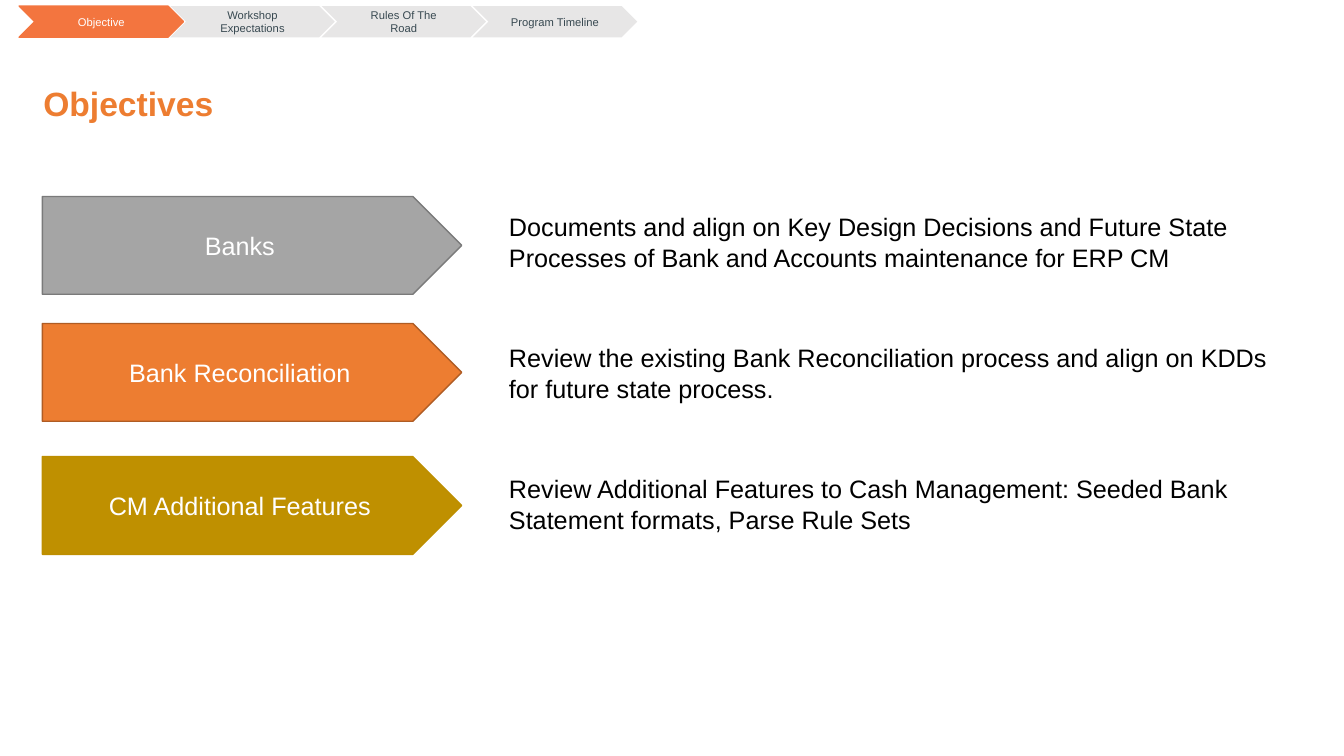
from pptx import Presentation
from pptx.dml.color import RGBColor
from pptx.enum import shapes, text
from pptx.util import Inches, Pt

ORANGE = RGBColor(0xED, 0x7D, 0x31)
RUST = RGBColor(0xAF, 0x5C, 0x24)
GRAY = RGBColor(0xA5, 0xA5, 0xA5)
STONE = RGBColor(0x7A, 0x7A, 0x7A)
GOLD = RGBColor(0xBF, 0x90, 0x00)
BRONZE = RGBColor(0xBD, 0x8E, 0x00)
CORAL = RGBColor(0xF3, 0x75, 0x3F)
PALE = RGBColor(0xE7, 0xE6, 0xE6)
SLATE = RGBColor(0x38, 0x49, 0x51)
WHITE = RGBColor(0xFF, 0xFF, 0xFF)
BLACK = RGBColor(0, 0, 0)

STEPS = ["Objective", "Workshop Expectations", "Rules Of The Road", "Program Timeline"]
GOALS = [
    ("Banks", 1.95, 2.05, GRAY, STONE,
     "Documents and align on Key Design Decisions and Future State "
     "Processes of Bank and Accounts maintenance for ERP CM"),
    ("Bank Reconciliation", 3.21, 3.35, ORANGE, RUST,
     "Review the existing Bank Reconciliation process and align on KDDs "
     "for future state process."),
    ("CM Additional Features", 4.53, 4.65, GOLD, BRONZE,
     "Review Additional Features to Cash Management: Seeded Bank "
     "Statement formats, Parse Rule Sets"),
]


def write(shape, words, size=18, color=BLACK, bold=False, align=text.PP_ALIGN.LEFT,
          anchor=text.MSO_ANCHOR.TOP, pads=(0.1, 0.05), space=None):
    frame = shape.text_frame
    frame.word_wrap = True
    frame.auto_size = text.MSO_AUTO_SIZE.NONE
    frame.vertical_anchor = anchor
    frame.margin_left = frame.margin_right = Inches(pads[0])
    frame.margin_top = frame.margin_bottom = Inches(pads[1])
    frame.text = words
    para = frame.paragraphs[0]
    para.alignment = align
    if space:
        para.line_spacing = space
    font = para.runs[0].font
    font.name, font.size, font.bold = "Arial", Pt(size), bold
    font.color.rgb = color


def place(box):
    return [Inches(side) for side in box]


def add_title(slide, words):
    title = slide.shapes.title
    title.left, title.top, title.width, title.height = place((0.43, 0.64, 11.9, 0.64))
    write(title, words, size=24, color=ORANGE, bold=True,
          anchor=text.MSO_ANCHOR.BOTTOM, pads=(0, 0.05), space=0.9)


def add_arrow(parent, kind, box, words, fill, line=None, **style):
    arrow = parent.shapes.add_shape(kind, *place(box))
    arrow.shadow.inherit = False
    arrow.fill.solid()
    arrow.fill.fore_color.rgb = fill
    if line is None:
        arrow.line.fill.background()
    else:
        arrow.line.color.rgb = line
        arrow.line.width = Pt(1)
    write(arrow, words, align=text.PP_ALIGN.CENTER, anchor=text.MSO_ANCHOR.MIDDLE, **style)


def add_steps(slide, names, current):
    group = slide.shapes.add_group_shape()
    for i, name in enumerate(names):
        active = name == current
        add_arrow(group, shapes.MSO_SHAPE.CHEVRON, (0.19 + 1.5 * i, 0.06, 1.63, 0.31), name,
                  CORAL if active else PALE, CORAL if active else None,
                  size=8, color=WHITE if active else SLATE, pads=(0.2, 0.2))


def add_goal(slide, name, top, note_top, fill, line, note):
    add_arrow(slide, shapes.MSO_SHAPE.PENTAGON, (0.42, top, 4.16, 0.97), name,
              fill, line, color=WHITE)
    box = slide.shapes.add_textbox(*place((4.95, note_top, 7.97, 0.71)))
    write(box, note)


def main():
    deck = Presentation()
    deck.slide_width, deck.slide_height = Inches(13.33), Inches(7.5)
    slide = deck.slides.add_slide(deck.slide_layouts[5])
    add_title(slide, "Objectives")
    for goal in GOALS:
        add_goal(slide, *goal)
    add_steps(slide, STEPS, "Objective")
    deck.save("out.pptx")


if __name__ == "__main__":
    main()
